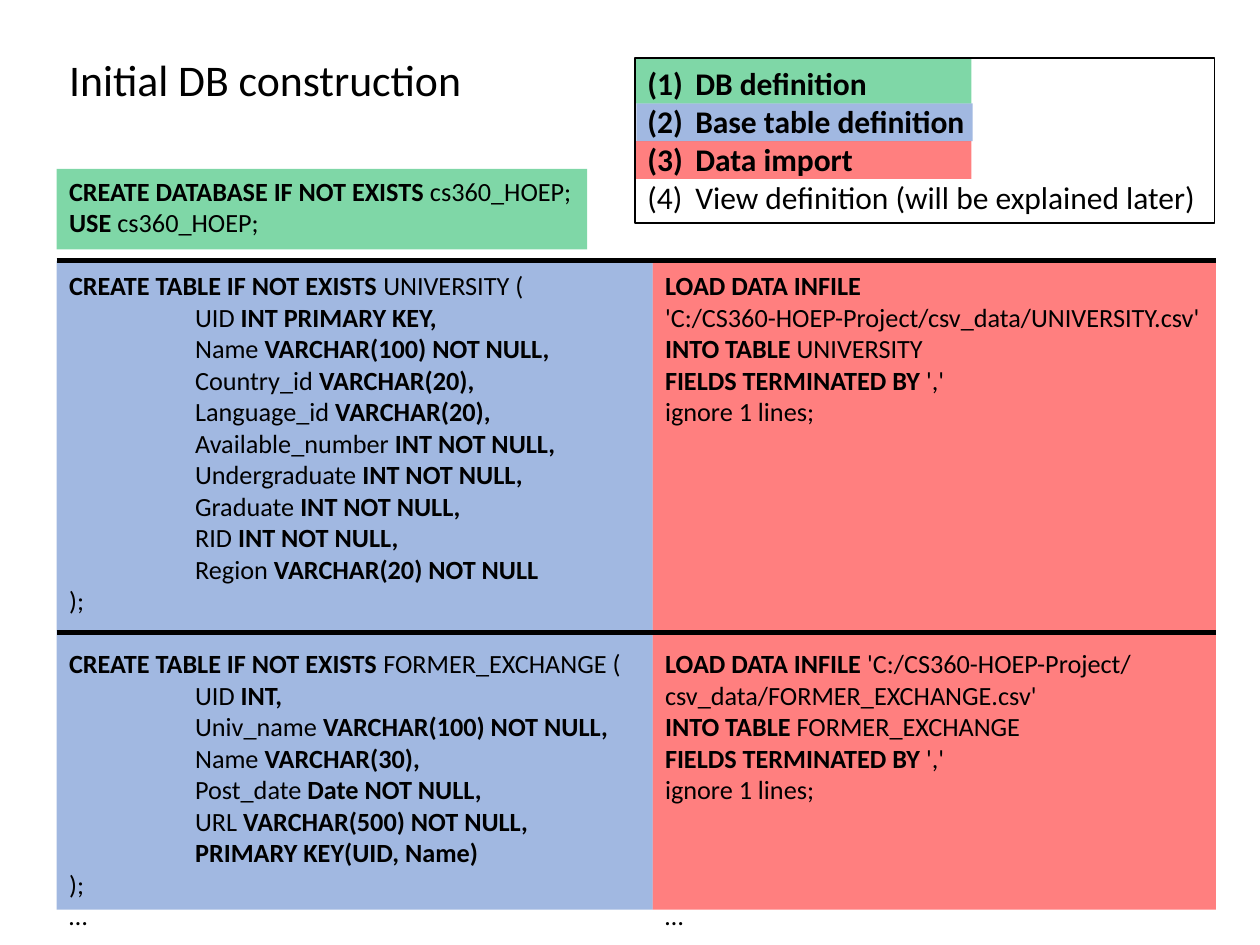
import pptx
import pptx.util
import pptx.dml.color
import pptx.enum.shapes
import pptx.enum.text
import pptx.oxml.ns
from lxml import etree

Inches, Pt = pptx.util.Inches, pptx.util.Pt
RGBColor = pptx.dml.color.RGBColor
qn = pptx.oxml.ns.qn

BLACK = RGBColor(0, 0, 0)
RED = RGBColor(0xFF, 0, 0)
BLUE = RGBColor(0x44, 0x72, 0xC4)
GREEN = RGBColor(0, 0xB0, 0x50)

LEFT, MIDDLE, RIGHT = 0.45, 5.18, 9.65
CODE_TOP, RULE_1, RULE_2, BOTTOM = 1.34, 2.07, 5.02, 7.22
LINE_PT = 18

BANDS = [
    (5.04, 1.12, 2.67, 0.3, RED),
    (5.05, 0.82, 2.67, 0.3, BLUE),
    (MIDDLE, RULE_1, RIGHT - MIDDLE, BOTTOM - RULE_1, RED),
    (LEFT, RULE_1, MIDDLE - LEFT, BOTTOM - RULE_1, BLUE),
    (5.04, 0.47, 2.67, 0.35, GREEN),
    (LEFT, CODE_TOP, 4.21, 0.64, GREEN),
]

TITLE = [(0, "Initial DB construction")]

LEGEND = [
    (0, "**DB definition**"),
    (0, "**Base table definition**"),
    (0, "**Data import**"),
    (0, "View definition (will be explained later)"),
]

DEFINITIONS = [
    (0, "**CREATE DATABASE IF NOT EXISTS **cs360_HOEP;"),
    (0, "**USE** cs360_HOEP;"),
    (1, "**CREATE TABLE IF NOT EXISTS **UNIVERSITY ("),
    (0, "\tUID **INT PRIMARY KEY,**"),
    (0, "\tName **VARCHAR(100) NOT NULL,**"),
    (0, "\tCountry_id **VARCHAR(20),**"),
    (0, "\tLanguage_id **VARCHAR(20),**"),
    (0, "\tAvailable_number **INT NOT NULL,**"),
    (0, "\tUndergraduate **INT NOT NULL,**"),
    (0, "\tGraduate **INT NOT NULL,**"),
    (0, "\tRID **INT NOT NULL,**"),
    (0, "\tRegion **VARCHAR(20) NOT NULL**"),
    (0, ");"),
    (1, "**CREATE TABLE IF NOT EXISTS **FORMER_EXCHANGE ("),
    (0, "\tUID **INT,**"),
    (0, "\tUniv_name **VARCHAR(100) NOT NULL,**"),
    (0, "\tName **VARCHAR(30),**"),
    (0, "\tPost_date **Date NOT NULL,**"),
    (0, "\tURL **VARCHAR(500) NOT NULL,**"),
    (0, "\t**PRIMARY KEY(UID, Name)**"),
    (0, ");"),
    (0, "…"),
]

IMPORTS = [
    (0, "**LOAD DATA INFILE**"),
    (0, "'C:/CS360-HOEP-Project/csv_data/UNIVERSITY.csv'"),
    (0, "**INTO TABLE **UNIVERSITY"),
    (0, "**FIELDS TERMINATED BY **','"),
    (0, "ignore 1 lines;"),
    (7, "**LOAD DATA INFILE **'C:/CS360-HOEP-Project/\ncsv_data/FORMER_EXCHANGE.csv'"),
    (0, "**INTO TABLE **FORMER_EXCHANGE"),
    (0, "**FIELDS TERMINATED BY **','"),
    (0, "ignore 1 lines;"),
    (3, "…"),
]


def add_text(sp, lines, size=15, wrap=True, skip=0, numbered=False):
    tf = sp.text_frame
    tf.word_wrap = wrap
    tf.vertical_anchor = pptx.enum.text.MSO_ANCHOR.TOP
    tf.margin_top = Inches(0.05) + Pt(skip * LINE_PT)
    for i, (gap, text) in enumerate(lines):
        p = tf.paragraphs[0] if i == 0 else tf.add_paragraph()
        p.alignment = pptx.enum.text.PP_ALIGN.LEFT
        if gap:
            p.space_before = Pt(gap * LINE_PT)
        pPr = p._p.get_or_add_pPr()
        if numbered:
            pPr.set("marL", str(Inches(0.38)))
            pPr.set("indent", str(-Inches(0.38)))
            etree.SubElement(pPr, qn("a:buFont"), typeface="+mj-lt")
            etree.SubElement(pPr, qn("a:buAutoNum"), type="arabicParenBoth")
        if "\t" in text:
            tabs = etree.SubElement(pPr, qn("a:tabLst"))
            etree.SubElement(tabs, qn("a:tab"), pos=str(Inches(1)), algn="l")
        for k, part in enumerate(text.split("**")):
            for n, piece in enumerate(part.split("\n")):
                if n:
                    p.add_line_break()
                if piece:
                    r = p.add_run()
                    r.text = piece
                    r.font.name = "Calibri"
                    r.font.size = Pt(size)
                    r.font.bold = k % 2 == 1
                    r.font.color.rgb = BLACK


def add_rect(s, x, y, w, h):
    sp = s.shapes.add_shape(pptx.enum.shapes.MSO_SHAPE.RECTANGLE,
                            Inches(x), Inches(y), Inches(w), Inches(h))
    sp.shadow.inherit = False
    return sp


def add_band(s, x, y, w, h, color):
    sp = add_rect(s, x, y, w, h)
    sp.fill.solid()
    sp.fill.fore_color.rgb = color
    sp.line.fill.background()
    clr = sp._element.spPr.find(".//" + qn("a:srgbClr"))
    etree.SubElement(clr, qn("a:alpha"), val="50000")


def add_box(s, x, y, w, h, lines, **fmt):
    sp = s.shapes.add_textbox(Inches(x), Inches(y), Inches(w), Inches(h))
    add_text(sp, lines, **fmt)


def add_rule(s, y):
    ln = s.shapes.add_connector(pptx.enum.shapes.MSO_CONNECTOR.STRAIGHT,
                                Inches(LEFT), Inches(y), Inches(RIGHT), Inches(y))
    ln.line.color.rgb = BLACK
    ln.line.width = Pt(3)
    etree.SubElement(ln._element.spPr, qn("a:effectLst"))


def main():
    prs = pptx.Presentation()
    prs.slide_width, prs.slide_height = Inches(10), Inches(7.5)
    s = prs.slides.add_slide(prs.slide_layouts[6])

    for band in BANDS:
        add_band(s, *band)

    add_box(s, LEFT, 0.37, 3.35, 0.52, TITLE, size=25, wrap=False)
    add_box(s, LEFT, CODE_TOP, 4.72, 6.16, DEFINITIONS)
    add_box(s, MIDDLE, CODE_TOP, RIGHT - MIDDLE, 6.16, IMPORTS, skip=3)

    legend = add_rect(s, 5.04, 0.46, 4.6, 1.31)
    legend.fill.background()
    legend.line.color.rgb = BLACK
    legend.line.width = Pt(0.75)
    add_text(legend, LEGEND, size=18, wrap=False, numbered=True)

    for y in (RULE_1, RULE_2):
        add_rule(s, y)

    prs.save("out.pptx")


if __name__ == "__main__":
    main()
